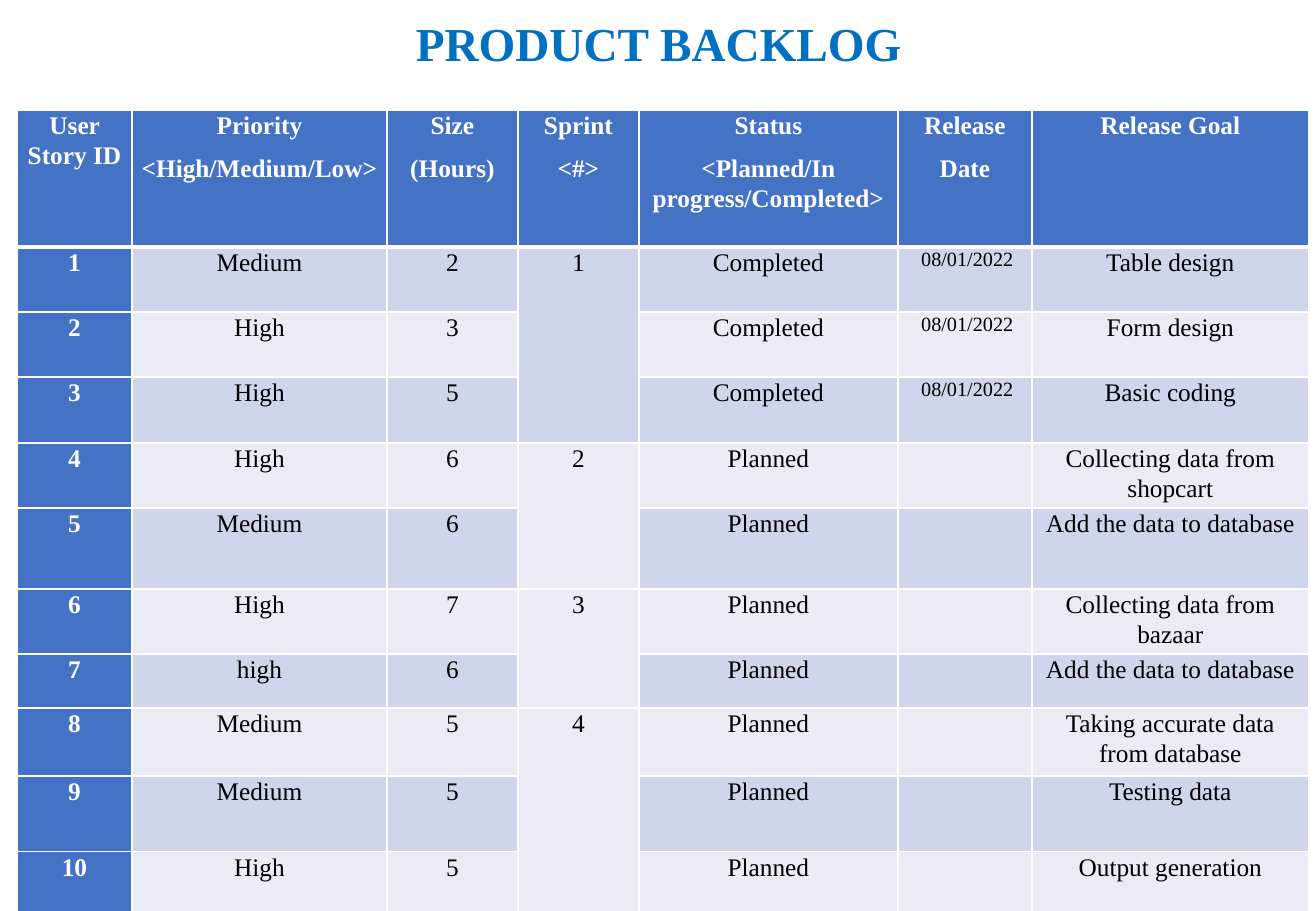
from lxml.etree import SubElement
from pptx import Presentation
from pptx.dml.color import RGBColor
from pptx.enum.text import MSO_ANCHOR, PP_ALIGN
from pptx.oxml.ns import qn
from pptx.util import Emu, Pt

# Content
TITLE = "PRODUCT BACKLOG"
HEADERS = [
    ["User Story ID"],
    ["Priority", "<High/Medium/Low>"],
    ["Size", "(Hours)"],
    ["Sprint", "<#>"],
    ["Status", "<Planned/In progress/Completed>"],
    ["Release", "Date"],
    ["Release Goal"],
]
# Priority, size, status, release date, release goal
STORIES = [
    ("Medium", "2", "Completed", "08/01/2022", "Table design"),
    ("High", "3", "Completed", "08/01/2022", "Form design"),
    ("High", "5", "Completed", "08/01/2022", "Basic coding"),
    ("High", "6", "Planned", "", "Collecting data from shopcart"),
    ("Medium", "6", "Planned", "", "Add the data to database"),
    ("High", "7", "Planned", "", "Collecting data from bazaar"),
    ("high", "6", "Planned", "", "Add the data to database"),
    ("Medium", "5", "Planned", "", "Taking accurate data from database"),
    ("Medium", "5", "Planned", "", "Testing data"),
    ("High", "5", "Planned", "", "Output generation"),
]
STORIES_PER_SPRINT = [3, 2, 2, 3]

# Layout in px
SLIDE_SIZE = (1316, 911)
TITLE_BOX = (66, 0, 1185, 92)
TABLE_LEFT, TABLE_TOP = 17, 110
COLUMN_WIDTHS = [115, 255, 131, 121, 259, 134, 277]
ROW_HEIGHTS = [137, 65, 65, 66, 59, 81, 60, 54, 68, 76, 70]
CELL_MARGIN = 8
SPRINT_COLUMN, DATE_COLUMN = 3, 5

# Style
FONT = "Times New Roman"
TITLE_BLUE, BLUE, WHITE, BLACK = "0070C0", "4472C4", "FFFFFF", "000000"
BANDS = ["E9EBF5", "CFD5EA"]


def px(length):
    return Emu(round(length * 914400 / 121.5))


def color(value):
    return RGBColor.from_string(value)


def add_text(paragraph, text, size, text_color, bold, spacing):
    paragraph.alignment = PP_ALIGN.CENTER
    paragraph.line_spacing = spacing
    run = paragraph.add_run()
    run.text = text
    run.font.name = FONT
    run.font.size = Pt(size)
    run.font.bold = bold
    run.font.color.rgb = color(text_color)


def add_borders(cell, top, bottom):
    properties = cell._tc.get_or_add_tcPr()
    for side, points in (("L", 1), ("R", 1), ("T", top), ("B", bottom)):
        line = SubElement(properties, qn(f"a:ln{side}"), w=str(Pt(points)))
        fill = SubElement(line, qn("a:solidFill"))
        SubElement(fill, qn("a:srgbClr"), val=WHITE)


def fill_cell(cell, lines, row, column):
    emphasized = row == 0 or column == 0
    is_date = row > 0 and column == DATE_COLUMN
    add_borders(cell, 3 if row == 1 else 1, 3 if row == 0 else 1)
    cell.fill.solid()
    cell.fill.fore_color.rgb = color(BLUE if emphasized else BANDS[row % 2])
    cell.margin_left = px(CELL_MARGIN + (5 if is_date else 0))
    cell.margin_right = px(CELL_MARGIN)
    cell.margin_top = cell.margin_bottom = 0
    for index, text in enumerate(lines):
        frame = cell.text_frame
        paragraph = frame.add_paragraph() if index else frame.paragraphs[0]
        paragraph.space_after = Pt(8)
        add_text(paragraph, text, 12 if is_date else 15,
                 WHITE if emphasized else BLACK, emphasized, 1.07)


presentation = Presentation()
presentation.slide_width, presentation.slide_height = map(px, SLIDE_SIZE)
slide = presentation.slides.add_slide(presentation.slide_layouts[6])

# Title
title = slide.shapes.add_textbox(*map(px, TITLE_BOX)).text_frame
title.word_wrap = True
title.vertical_anchor = MSO_ANCHOR.MIDDLE
add_text(title.paragraphs[0], TITLE, 28, TITLE_BLUE, True, 0.9)

# Table grid
table = slide.shapes.add_table(
    len(ROW_HEIGHTS), len(COLUMN_WIDTHS), px(TABLE_LEFT), px(TABLE_TOP),
    px(sum(COLUMN_WIDTHS)), px(sum(ROW_HEIGHTS))).table
table.first_col = True
for table_column, width in zip(table.columns, COLUMN_WIDTHS):
    table_column.width = px(width)
for table_row, height in zip(table.rows, ROW_HEIGHTS):
    table_row.height = px(height)

# Sprint cells span their stories
sprint_starts = {}
first_row = 1
for sprint, count in enumerate(STORIES_PER_SPRINT, 1):
    sprint_starts[first_row] = str(sprint)
    table.cell(first_row, SPRINT_COLUMN).merge(
        table.cell(first_row + count - 1, SPRINT_COLUMN))
    first_row += count

# Cell contents
rows = [HEADERS]
for number, (priority, size, status, date, goal) in enumerate(STORIES, 1):
    values = (str(number), priority, size, sprint_starts.get(number, ""),
              status, date, goal)
    rows.append([[value] if value else [] for value in values])
for row, cells in enumerate(rows):
    for column, lines in enumerate(cells):
        fill_cell(table.cell(row, column), lines, row, column)

presentation.save("out.pptx")
